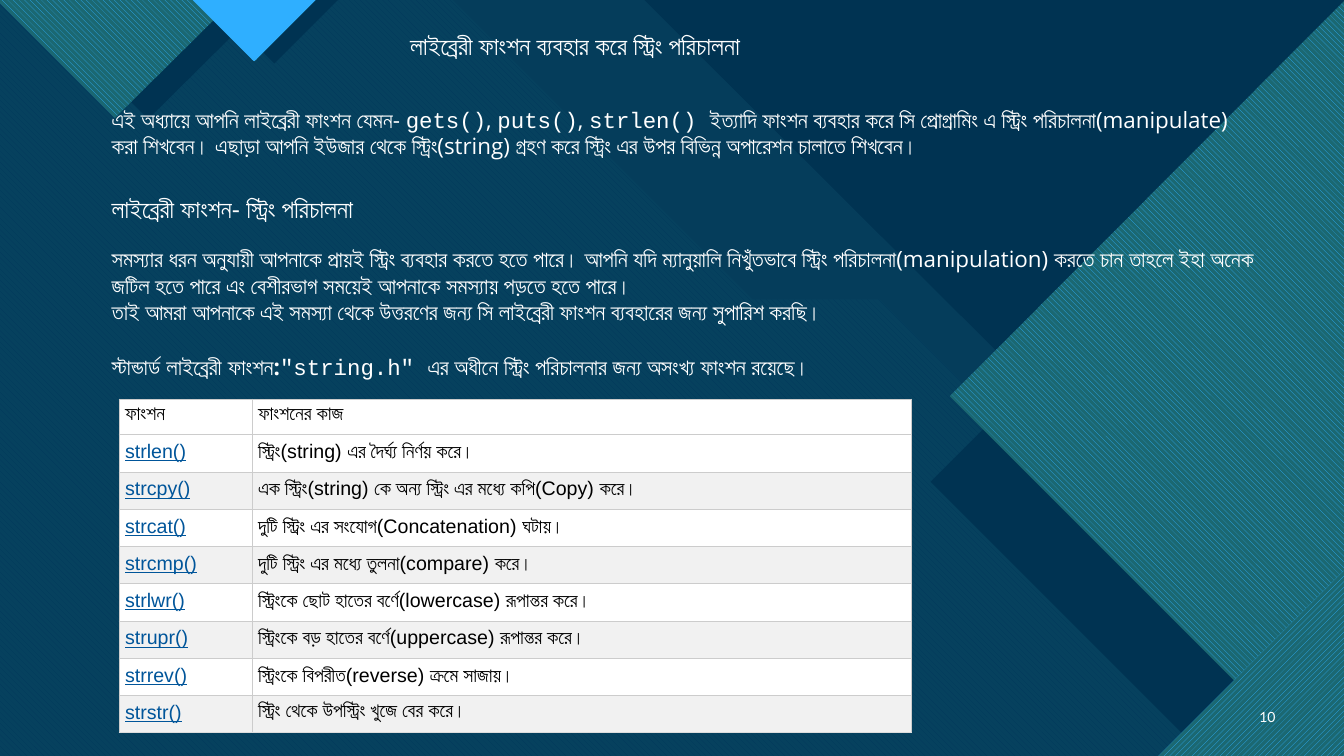
from math import cos, radians, sin

from lxml.etree import SubElement
from pptx import Presentation
from pptx.dml.color import RGBColor
from pptx.enum.dml import MSO_PATTERN as PATTERN
from pptx.enum.shapes import MSO_SHAPE as SHAPE
from pptx.enum.text import MSO_ANCHOR as ANCHOR, MSO_AUTO_SIZE as AUTO_SIZE, PP_ALIGN as ALIGN
from pptx.oxml.ns import qn
from pptx.util import Inches, Pt

COLORS = {
    "base": "0C4360", "navy": "003352", "cyan": "47C3D3", "blue": "0065A4",
    "sky": "2FAFFF", "teal": "1B6872", "white": "FFFFFF", "black": "000000",
    "link": "00559A", "band": "F1F1F1", "border": "CCCCCC", "last_border": "DDDDDD",
}
DOWN, UP, LINES = (PATTERN.WIDE_DOWNWARD_DIAGONAL, PATTERN.WIDE_UPWARD_DIAGONAL,
                   PATTERN.DARK_HORIZONTAL)
SANS, MONO = "Open Sans", "Courier New"

PANELS = [
    (0, "navy", None, 90, [(0, 0), (6.95, 0), (9.92, 2.97), (11.18, 2.97),
                           (13.33, 5.13), (13.33, 7.51), (0, 7.51)]),
    (45, "navy", None, 100, [(13.33, 0.68), (13.33, 7.5), (11.95, 7.5), (9.23, 4.78)]),
    (135, "sky", DOWN, 100, [(13.34, 0), (13.34, 7.5), (12.99, 7.5), (9.42, 3.93)]),
    (45, "navy", None, 100, [(13.33, 6.14), (13.33, 7.5), (11.97, 7.5)]),
    (135, "sky", UP, 100, [(13.33, 5.66), (13.33, 7.5), (11.49, 7.5)]),
    (315, "navy", None, 100, [(2.66, 0), (1.47, 1.18), (0.29, 0)]),
    (45, "sky", DOWN, 100, [(-0.03, 0), (1.14, 1.17), (2.32, 0)]),
    (315, "navy", None, 100, [(3.35, 0), (2.72, 0.63), (2.09, 0)]),
    (45, "sky", LINES, 100, [(1.91, 0), (2.52, 0.61), (3.13, 0)]),
]

FUNCTIONS = [
    ("ফাংশন", "ফাংশনের কাজ"),
    ("strlen()", "স্ট্রিং(string) এর দৈর্ঘ্য নির্ণয় করে।"),
    ("strcpy()", "এক স্ট্রিং(string) কে অন্য স্ট্রিং এর মধ্যে কপি(Copy) করে।"),
    ("strcat()", "দুটি স্ট্রিং এর সংযোগ(Concatenation) ঘটায়।"),
    ("strcmp()", "দুটি স্ট্রিং এর মধ্যে তুলনা(compare) করে।"),
    ("strlwr()", "স্ট্রিংকে ছোট হাতের বর্ণে(lowercase) রূপান্তর করে।"),
    ("strupr()", "স্ট্রিংকে বড় হাতের বর্ণে(uppercase) রূপান্তর করে।"),
    ("strrev()", "স্ট্রিংকে বিপরীত(reverse) ক্রমে সাজায়।"),
    ("strstr()", "স্ট্রিং থেকে উপস্ট্রিং খুজে বের করে।"),
]


def rgb(name):
    return RGBColor.from_string(COLORS[name])


def set_values(target, values):
    for name, value in values.items():
        setattr(target, name, value)


def paint(shape, color, pattern=None, back="teal", opacity=100):
    shape.shadow.inherit = False
    shape.line.fill.background()
    if pattern is None:
        shape.fill.solid()
    else:
        shape.fill.patterned()
        shape.fill.pattern = pattern
        shape.fill.back_color.rgb = rgb(back)
    shape.fill.fore_color.rgb = rgb(color)
    if opacity < 100:
        fill_color = shape.fill._xPr.find(qn("a:solidFill"))[0]
        SubElement(fill_color, qn("a:alpha"), val=str(opacity * 1000))


def turn(x, y, degrees):
    angle = radians(degrees)
    return x * cos(angle) - y * sin(angle), x * sin(angle) + y * cos(angle)


def add_panel(slide, rotation, color, pattern, opacity, points, back="teal"):
    corners = [tuple(map(Inches, turn(x, y, -rotation))) for x, y in points]
    builder = slide.shapes.build_freeform(*corners[0])
    builder.add_line_segments(corners[1:], close=True)
    shape = builder.convert_to_shape()
    center_x, center_y = turn(shape.left + shape.width / 2,
                              shape.top + shape.height / 2, rotation)
    set_values(shape, {"left": int(center_x - shape.width / 2),
                       "top": int(center_y - shape.height / 2),
                       "rotation": rotation})
    paint(shape, color, pattern, back, opacity)


def add_preset(slide, kind, left, top, width, height, color, rotation=0):
    shape = slide.shapes.add_shape(kind, Inches(left), Inches(top), Inches(width), Inches(height))
    shape.rotation = rotation
    paint(shape, color)


def add_run(paragraph, text, font, size, color="white", **values):
    run = paragraph.add_run()
    run.text = text
    set_values(run.font, {"name": font, "size": Pt(size), **values})
    run.font.color.rgb = rgb(color)


def add_text(slide, box, paragraphs, size, frame_values, paragraph_values=()):
    frame = slide.shapes.add_textbox(*map(Inches, box)).text_frame
    set_values(frame, {"word_wrap": True, **frame_values})
    for index, runs in enumerate(paragraphs):
        paragraph = frame.add_paragraph() if index else frame.paragraphs[0]
        set_values(paragraph, dict(paragraph_values))
        for text, font, *bold in runs:
            add_run(paragraph, text, font, size, bold=bool(bold))
    return frame


def add_border(cell, side, color):
    line = SubElement(cell._tc.get_or_add_tcPr(), qn(f"a:{side}"), w=str(Pt(0.75)))
    fill = SubElement(line, qn("a:solidFill"))
    SubElement(fill, qn("a:srgbClr"), val=COLORS[color])


def fill_cell(cell, text, row, is_link):
    is_last = row == len(FUNCTIONS) - 1
    for side in ("lnL", "lnR", "lnT", "lnB"):
        add_border(cell, side, "last_border" if is_last and side == "lnB" else "border")
    margins = ("margin_left", "margin_top", "margin_right", "margin_bottom")
    set_values(cell, dict.fromkeys(margins, Inches(0.06)))
    cell.fill.solid()
    cell.fill.fore_color.rgb = rgb("band" if row and row % 2 == 0 else "white")
    add_run(cell.text_frame.paragraphs[0], text, "Arial", 14,
            "link" if is_link else "black", underline=is_link)


def add_function_table(slide):
    frame = slide.shapes.add_table(len(FUNCTIONS), 2, Inches(1.18), Inches(3.96),
                                   Inches(7.86), Inches(3.34))
    table = frame.table
    set_values(table, {"first_row": False, "horz_banding": False})
    for column, width in zip(table.columns, (1.32, 6.54)):
        column.width = Inches(width)
    for row, texts in enumerate(FUNCTIONS):
        table.rows[row].height = Inches(0.37 if row else 0.34)
        for column, text in enumerate(texts):
            fill_cell(table.cell(row, column), text, row, row > 0 and column == 0)


def add_background(slide):
    add_preset(slide, SHAPE.RECTANGLE, 0, 0, 13.33, 7.5, "base")
    add_panel(slide, 0, "cyan", None, 74, [(0, 0), (8.26, 0), (11.23, 2.97), (12.35, 2.97),
                                           (13.33, 3.96), (13.33, 7.51), (0, 7.51)])
    add_panel(slide, 270, "blue", DOWN, 100, [(0, 0), (4.49, 0), (7.46, 2.97), (8.72, 2.97),
                                              (13.25, 7.51), (0, 7.51)], "cyan")
    add_preset(slide, SHAPE.RIGHT_TRIANGLE, 6.39, 0, 6.94, 6.92, "navy", 180)
    for panel in PANELS:
        add_panel(slide, *panel)


def add_texts(slide):
    heading = {"word_wrap": False, "auto_size": AUTO_SIZE.SHAPE_TO_FIT_TEXT}
    body = {"vertical_anchor": ANCHOR.MIDDLE, "auto_size": AUTO_SIZE.SHAPE_TO_FIT_TEXT}
    add_text(slide, (12.31, 6.91, 0.44, 0.4), [[("10", "Lato")]], 10,
             {"vertical_anchor": ANCHOR.MIDDLE}, {"alignment": ALIGN.RIGHT})
    add_text(slide, (3.97, 0.25, 4.96, 0.4),
             [[("লাইব্রেরী ফাংশন ব্যবহার করে স্ট্রিং পরিচালনা", SANS)]], 18, heading)
    add_text(slide, (1.01, 0.86, 11.3, 0.91), [[
        ("এই অধ্যায়ে আপনি লাইব্রেরী ফাংশন যেমন- ", SANS), ("gets()", MONO), (", ", SANS),
        ("puts()", MONO), (", ", SANS), ("strlen() ", MONO),
        ("ইত্যাদি ফাংশন ব্যবহার করে সি প্রোগ্রামিং এ স্ট্রিং পরিচালনা(manipulate) করা শিখবেন। "
         "এছাড়া আপনি ইউজার থেকে স্ট্রিং(string) গ্রহণ করে স্ট্রিং এর উপর বিভিন্ন অপারেশন "
         "চালাতে শিখবেন।", SANS)]], 16, body)
    add_text(slide, (1.01, 1.87, 3.66, 0.4),
             [[("লাইব্রেরী ফাংশন- স্ট্রিং পরিচালনা", SANS)]], 18, heading)
    explanation = add_text(slide, (1.01, 2.24, 11.94, 1.72), [
        [("সমস্যার ধরন অনুযায়ী আপনাকে প্রায়ই স্ট্রিং ব্যবহার করতে হতে পারে। আপনি যদি ম্যানুয়ালি "
          "নিখুঁতভাবে স্ট্রিং পরিচালনা(manipulation) করতে চান তাহলে ইহা অনেক জটিল হতে পারে এং "
          "বেশীরভাগ সময়েই আপনাকে সমস্যায় পড়তে হতে পারে।", SANS)],
        [("তাই আমরা আপনাকে এই সমস্যা থেকে উত্তরণের জন্য সি লাইব্রেরী ফাংশন ব্যবহারের জন্য "
          "সুপারিশ করছি।", SANS)],
        [("স্টান্ডার্ড লাইব্রেরী ফাংশন:", SANS, "bold"), ("\"string.h\" ", MONO),
         ("এর অধীনে স্ট্রিং পরিচালনার জন্য অসংখ্য ফাংশন রয়েছে।", SANS)]], 16, body)
    explanation.paragraphs[-1].space_before = Pt(20)


def main():
    presentation = Presentation()
    set_values(presentation, {"slide_width": Inches(13.33), "slide_height": Inches(7.5)})
    slide = presentation.slides.add_slide(presentation.slide_layouts[6])
    add_background(slide)
    add_texts(slide)
    add_function_table(slide)
    presentation.save("out.pptx")


if __name__ == "__main__":
    main()
